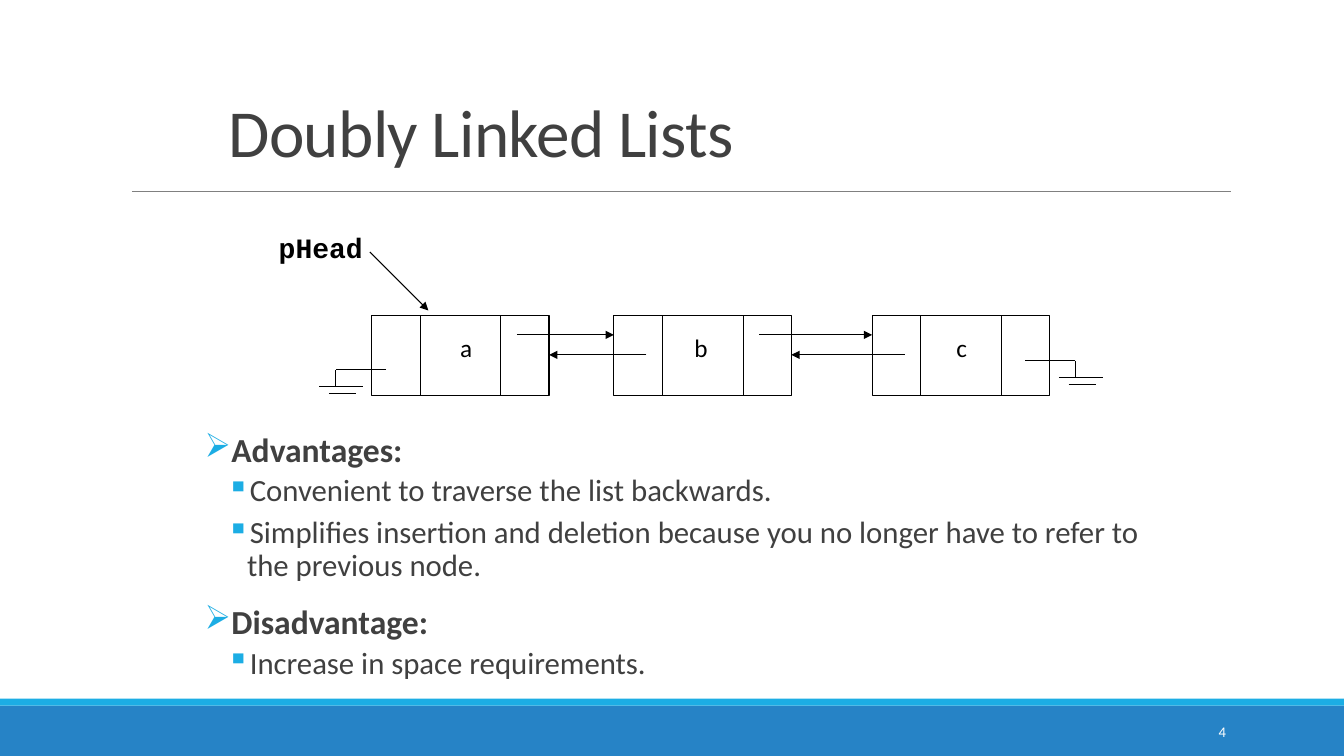
from pptx import Presentation
from pptx.dml.color import RGBColor
from pptx.enum import shapes, text
from pptx.oxml.ns import qn
from pptx.util import Pt
from lxml import etree

# Content
TITLE = "Doubly Linked Lists"
HEAD_LABEL = "pHead"
PAGE_NUMBER = "4"
NODES = [("a", 265.5, 306), ("b", 438.5, 473.75), ("c", 623, 660)]  # name, left, label left
POINTS = [
    (0, "Advantages:"),
    (1, "Convenient to traverse the list backwards."),
    (1, "Simplifies insertion and deletion because you no longer have to refer to "
        "the previous node."),
    (0, "Disadvantage:"),
    (1, "Increase in space requirements."),
]
LEVELS = [  # format of each outline level
    dict(bullet="➢", margin=7.2, hang=7.2, size=24, bold=True, before=12, after=2),
    dict(bullet="▪", margin=30.24, hang=14.4, size=22, bold=False, before=2, after=4),
]

# Colours and node geometry
INK, GREY, WHITE, CYAN, BLUE = "000000", "404040", "FFFFFF", "1CADE4", "2683C6"
NODE_TOP, NODE_W, NODE_H = 225.4, 126.7, 56.8
DIVIDERS = (34.7, 92.3)
NEXT_Y, BACK_Y = 239.2, 253.5
NEXT_START, BACK_START = 103.7, 23.2

prs = Presentation()
prs.slide_width, prs.slide_height = Pt(960), Pt(540)
slide = prs.slides.add_slide(prs.slide_layouts[6])


def rgb(value):
    return RGBColor.from_string(value)


def add_rect(left, top, width, height, fill, outline=None):
    rect = slide.shapes.add_shape(
        shapes.MSO_SHAPE.RECTANGLE, Pt(left), Pt(top), Pt(width), Pt(height))
    rect.shadow.inherit = False
    rect.fill.solid()
    rect.fill.fore_color.rgb = rgb(fill)
    if outline:
        rect.line.color.rgb = rgb(outline)
        rect.line.width = Pt(0.75)
    else:
        rect.line.fill.background()


def add_line(x1, y1, x2, y2, color=INK, width=0.75, arrow=False):
    line = slide.shapes.add_connector(
        shapes.MSO_CONNECTOR.STRAIGHT, Pt(x1), Pt(y1), Pt(x2), Pt(y2))
    line.line.color.rgb = rgb(color)
    line.line.width = Pt(width)
    if arrow:
        etree.SubElement(line.line._get_or_add_ln(), qn("a:tailEnd"), type="triangle")
    etree.SubElement(line._element.spPr, qn("a:effectLst"))


def add_box(left, top, width, height, anchor="TOP", inset=7.2):
    frame = slide.shapes.add_textbox(Pt(left), Pt(top), Pt(width), Pt(height)).text_frame
    frame.word_wrap = True
    frame.vertical_anchor = getattr(text.MSO_ANCHOR, anchor)
    frame.margin_left = frame.margin_right = Pt(inset)
    return frame


def write(paragraph, words, size=18, color=INK, font="Calibri", bold=False, align="LEFT",
          spacing=1.0, before=0, after=0, bullet=None, margin=0, hang=0, tracking=0):
    paragraph.alignment = getattr(text.PP_ALIGN, align)
    paragraph.line_spacing = spacing
    paragraph.space_before, paragraph.space_after = Pt(before), Pt(after)
    if bullet:
        props = paragraph._p.get_or_add_pPr()
        props.set("marL", str(Pt(margin)))
        props.set("indent", str(-Pt(hang)))
        bullet_color = etree.SubElement(props, qn("a:buClr"))
        etree.SubElement(bullet_color, qn("a:srgbClr"), val=CYAN)
        etree.SubElement(props, qn("a:buChar"), char=bullet)
    run = paragraph.add_run()
    run.text = words
    run.font.name, run.font.size, run.font.bold = font, Pt(size), bold
    run.font.color.rgb = rgb(color)
    if tracking:
        run._r.get_or_add_rPr().set("spc", str(int(tracking * 100)))


def add_ground(start_x, stem_x, y):
    """Null pointer: a lead, a stem and two bars."""
    add_line(start_x, y, stem_x, y)
    add_line(stem_x, y, stem_x, y + 12)
    add_line(stem_x - 11.9, y + 11.6, stem_x + 19.5, y + 11.6)
    add_line(stem_x - 4.8, y + 16.6, stem_x + 14.4, y + 16.6)


# Footer bands, title rule and title
add_rect(0, 504, 960, 36, BLUE)
add_rect(0, 499, 960, 5, CYAN)
add_line(94.3, 136.8, 879.1, 136.8, color="808080", width=0.5)
write(add_box(156.2, 27.4, 648, 98.6, anchor="BOTTOM").paragraphs[0], TITLE,
      size=48, color=GREY, spacing=0.85, tracking=-0.5)

# Advantages and disadvantage
outline = add_box(146.2, 306, 675.4, 210.2, inset=0)
for i, (level, words) in enumerate(POINTS):
    paragraph = outline.add_paragraph() if i else outline.paragraphs[0]
    paragraph.level = level
    style = dict(LEVELS[level])
    if i == 0:
        style["before"] = 0
    write(paragraph, words, color=GREY, spacing=0.9, **style)

# Page number
write(add_box(779.8, 508.3, 103, 28.8, anchor="MIDDLE").paragraphs[0], PAGE_NUMBER,
      size=10.5, color=WHITE, align="RIGHT")

# Nodes
for name, left, label_left in NODES:
    add_rect(left, NODE_TOP, NODE_W, NODE_H, WHITE, outline=INK)
    for offset in DIVIDERS:
        add_line(left + offset, NODE_TOP, left + offset, NODE_TOP + NODE_H)
    write(add_box(label_left, 234, 54, 28.8).paragraphs[0], name, align="CENTER")

# Links between neighbours
for (_, left, _), (_, following, _) in zip(NODES, NODES[1:]):
    add_line(left + NEXT_START, NEXT_Y, following, NEXT_Y, arrow=True)
    add_line(following + BACK_START, BACK_Y, left + NODE_W, BACK_Y, arrow=True)

# Head pointer and null ends
write(add_box(192, 161.3, 102.2, 42.5).paragraphs[0], HEAD_LABEL,
      size=20, font="Courier New", bold=True)
add_line(264.2, 180, 306, 221.8, arrow=True)
add_ground(275.8, 239.8, 264.2)
add_ground(732.2, 768.2, 257.8)

prs.save("out.pptx")
